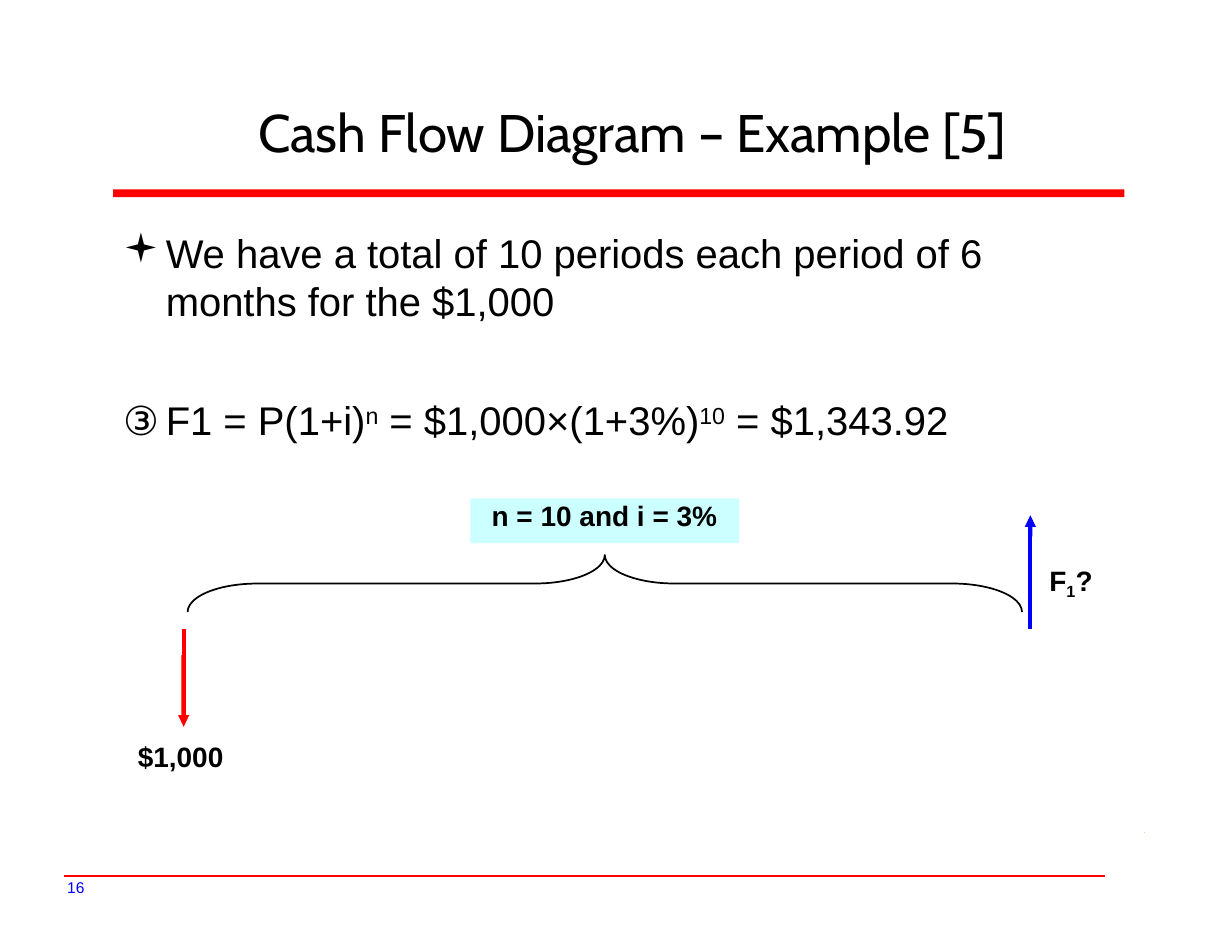
from lxml.etree import SubElement
from pptx import Presentation
from pptx.dml.color import RGBColor
from pptx.enum.shapes import MSO_CONNECTOR as CONN, MSO_SHAPE as SHAPE
from pptx.enum.text import MSO_ANCHOR as ANCHOR, PP_ALIGN as ALIGN
from pptx.oxml.ns import qn
from pptx.util import Inches, Pt

BLACK = RGBColor(0, 0, 0)
RED = RGBColor(255, 0, 0)
BLUE = RGBColor(0, 0, 255)
CYAN = RGBColor(204, 255, 255)
TAN = RGBColor(225, 216, 163)
UNIT = Inches(0.1)
BODY = {"name": "Arial", "size": Pt(25.7), "bold": False}
LABEL = {"name": "Arial", "size": Pt(18), "bold": True}
TITLE = {"name": "Cabin", "size": Pt(34), "bold": False}
NUMBER = {"name": "Arial", "size": Pt(10), "bold": False}


def place(box, x, y, w, h):
    """Turn grid units counted from a box corner into slide lengths."""
    return [int(v * UNIT) for v in (box[0] + x, box[1] + y, w, h)]


def set_frame(tf, wrap=True):
    """Give a text frame no insets and top anchoring."""
    values = {"margin_left": 0, "margin_top": 0, "margin_right": 0, "margin_bottom": 0,
              "word_wrap": wrap, "vertical_anchor": ANCHOR.TOP}
    for key, value in values.items():
        setattr(tf, key, value)


def write(p, runs, style, color=BLACK, indent=0, hanging=0):
    """Fill a paragraph with unkerned (text, baseline percent) runs."""
    pPr = p._p.get_or_add_pPr()
    pPr.set("marL", str(int(indent * UNIT)))
    pPr.set("indent", str(int(-hanging * UNIT)))
    for text, baseline in runs:
        r = p.add_run()
        r.text = text
        for key, value in style.items():
            setattr(r.font, key, value)
        r.font.color.rgb = color
        rPr = r._r.get_or_add_rPr()
        rPr.set("kern", "0")
        if baseline:
            rPr.set("baseline", str(baseline * 1000))


def add_label(s, at, runs, style, color=BLACK, indent=0.1):
    """Add a one-line text box."""
    tf = s.shapes.add_textbox(*at).text_frame
    set_frame(tf, False)
    write(tf.paragraphs[0], runs, style, color, indent)


def add_rule(s, at, color, width):
    """Draw a straight line across the given extent."""
    x, y, w, h = at
    sp = s.shapes.add_connector(CONN.STRAIGHT, x, y, x + w, y + h)
    sp.line.color.rgb = color
    sp.line.width = Pt(width)
    SubElement(sp._element.spPr, qn("a:effectLst"))


def add_block(s, shape, at, color=None):
    """Add a preset shape without shadow or outline."""
    sp = s.shapes.add_shape(shape, *at)
    sp.shadow.inherit = False
    sp.line.fill.background()
    if color is None:
        sp.fill.background()
    else:
        sp.fill.solid()
        sp.fill.fore_color.rgb = color
    return sp


def add_flow(s, line_at, shape, arrow_at, color):
    """Draw a cash flow as a line continued by a block arrow."""
    add_rule(s, line_at, color, 2.62)
    arrow = add_block(s, shape, arrow_at, color)
    arrow.adjustments[0] = 0.38
    arrow.adjustments[1] = 1.05


def add_header(s, box):
    """Set the title and the thick bar below it."""
    sp = s.shapes.title
    sp.left, sp.top, sp.width, sp.height = place(box, 6.4, 0, 76.9, 5)
    set_frame(sp.text_frame)
    p = sp.text_frame.paragraphs[0]
    write(p, [("Cash Flow Diagram – Example [5]", 0)], TITLE, indent=3)
    p.alignment = ALIGN.CENTER
    add_block(s, SHAPE.RECTANGLE, place(box, 0, 8, box[2], 0.7), RED)


def add_body(s, box):
    """Write the bullet and the numbered formula."""
    tf = s.shapes.add_textbox(*place(box, 0, 0, *box[2:])).text_frame
    set_frame(tf)
    bullet, formula = tf.paragraphs[0], tf.add_paragraph()
    pPr = bullet._p.get_or_add_pPr()
    SubElement(pPr, qn("a:buFont"), typeface="Wingdings")
    SubElement(pPr, qn("a:buChar"), char="▪")
    write(bullet, [("We have a total of 10 periods each period of 6 months for the $1,000", 0)],
          BODY, indent=3.9, hanging=3.8)
    write(formula, [("③\tF1 = P(1+i)", 0), ("n", 26), (" = $1,000×(1+3%)", 0),
                    ("10", 26), (" = $1,343.92", 0)], BODY, indent=3.9, hanging=3.8)
    for p in tf.paragraphs:
        p.line_spacing = Pt(31)
    formula.space_before = Pt(45)


def add_diagram(s, box):
    """Draw the cash flows, the brace over the periods and their labels."""
    terms = add_block(s, SHAPE.RECTANGLE, place(box, 30, 0, 24, 4), CYAN)
    set_frame(terms.text_frame)
    p = terms.text_frame.paragraphs[0]
    write(p, [("n = 10 and i = 3%", 0)], LABEL, indent=1.9)
    p.alignment = ALIGN.LEFT

    span, depth = 74.5, 5.1
    brace = add_block(s, SHAPE.LEFT_BRACE,
                      place(box, 42 - depth / 2, 7.6 - span / 2, depth, span))
    brace.rotation = 90
    brace.adjustments[0] = 1.22
    brace.line.color.rgb = BLACK
    brace.line.width = Pt(1.1)

    add_flow(s, place(box, 4.4, 11.7, 0, 2.3), SHAPE.DOWN_ARROW,
             place(box, 3.9, 14, 1, 6.4), RED)
    add_flow(s, place(box, 80, 3.3, 0, 8.4), SHAPE.UP_ARROW,
             place(box, 79.5, 1.5, 1, 1.9), BLUE)
    add_label(s, place(box, 0.2, 21.5, 7.9, 2.8), [("$1,000", 0)], LABEL)
    add_label(s, place(box, 81.6, 5.8, 4.3, 3.2), [("F", 0), ("1", -21), ("?", 0)], LABEL)


def add_footer(s, box):
    """Draw the small mark, the thin rule and the slide number."""
    add_rule(s, place(box, 96.4, 0, 0.1, 0), TAN, 0.3)
    add_rule(s, place(box, 0, 3.9, 93, 0), RED, 1.12)
    add_label(s, place(box, 0, 4.1, 2.1, 1.7), [("16", 0)], NUMBER, BLUE, 0.3)


def main():
    """Build the slide and save it."""
    prs = Presentation()
    prs.slide_width, prs.slide_height = 110 * UNIT, 85 * UNIT
    s = prs.slides.add_slide(prs.slide_layouts[5])
    add_header(s, (10.1, 8.9, 90.3, 8.7))
    add_body(s, (10.9, 20.4, 78, 18.6))
    add_diagram(s, (12, 44.5, 86, 24.5))
    add_footer(s, (5.7, 74.3, 96.5, 5.8))
    prs.save("out.pptx")


if __name__ == "__main__":
    main()
